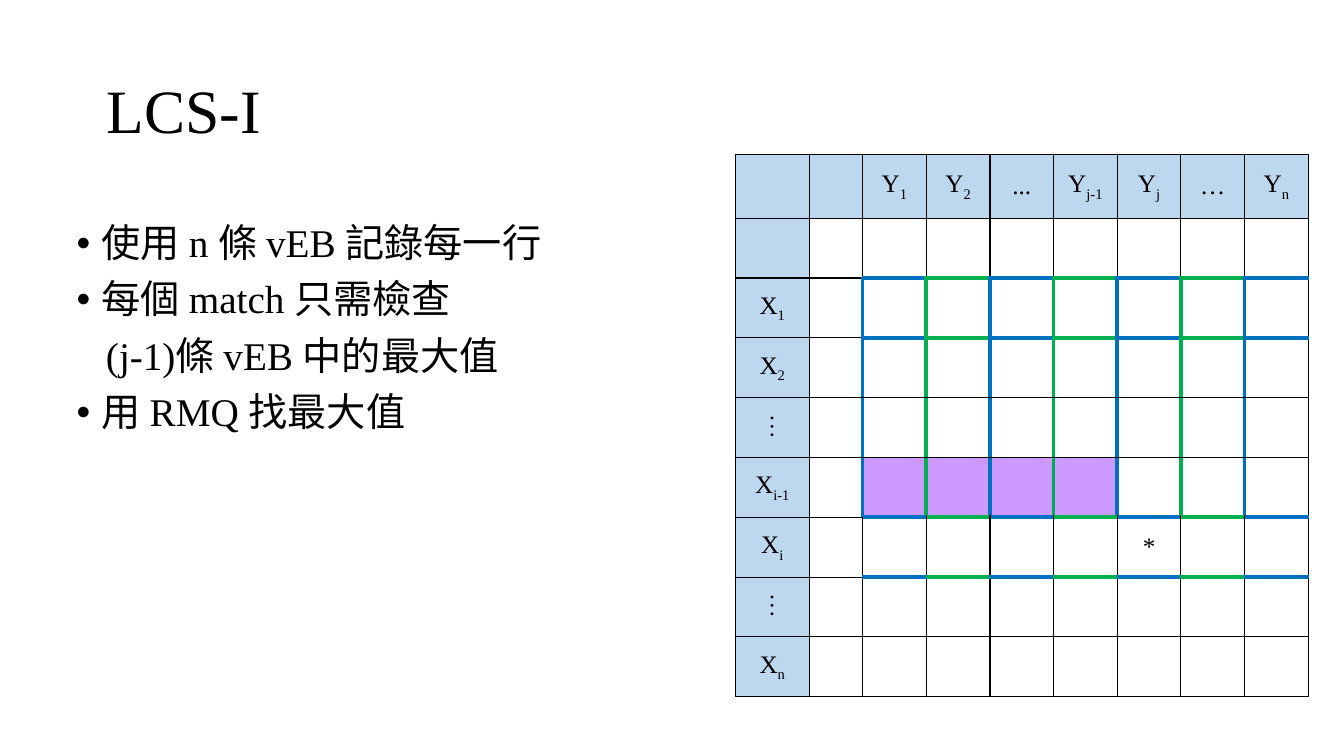
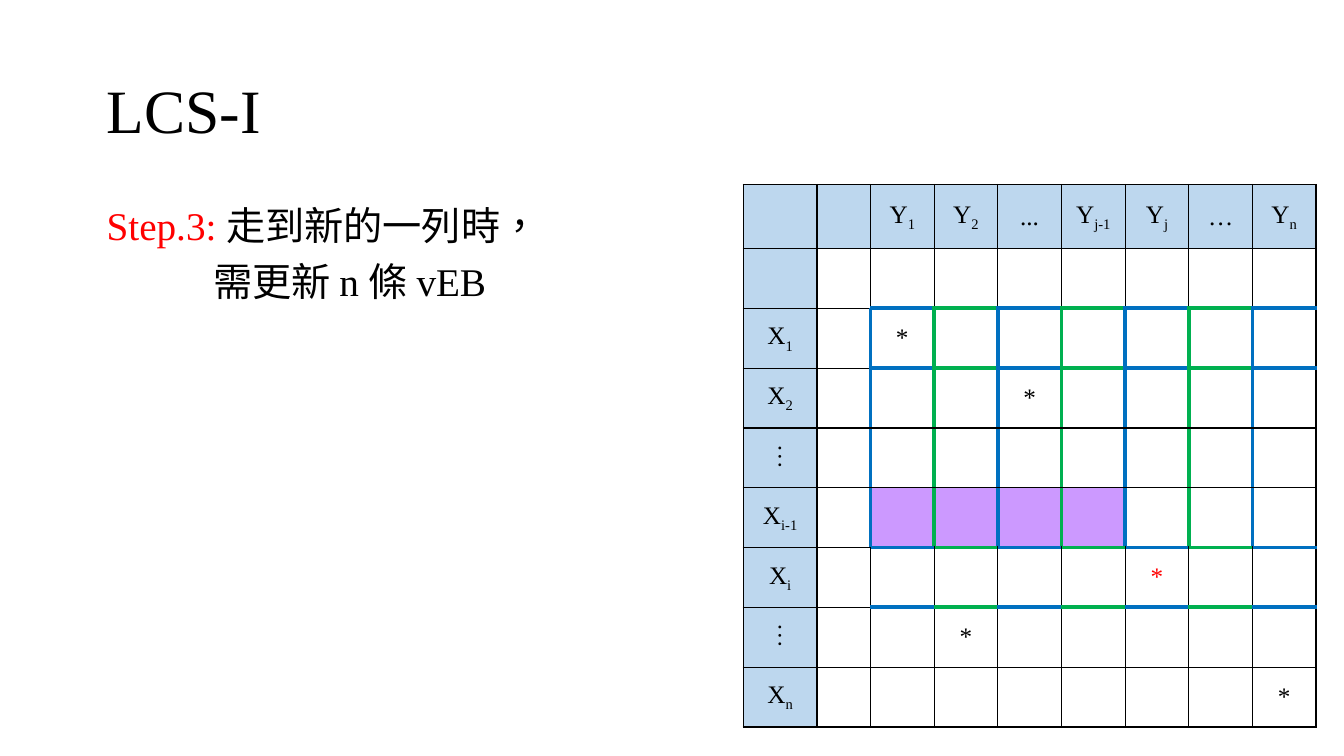
from lxml import etree
from pptx import Presentation
from pptx.dml.color import RGBColor
from pptx.enum.text import MSO_ANCHOR, MSO_AUTO_SIZE, PP_ALIGN
from pptx.oxml.ns import qn
from pptx.util import Pt

LEFT, CENTER = PP_ALIGN.LEFT, PP_ALIGN.CENTER
TOP, MIDDLE = MSO_ANCHOR.TOP, MSO_ANCHOR.MIDDLE
NO_FIT = MSO_AUTO_SIZE.NONE

FONT = "Times New Roman"
BLACK, WHITE, RED = "000000", "FFFFFF", "FF0000"
HEADER, PURPLE = "BDD7EE", "CC99FF"
BLUE, GREEN = "0070C0", "00B050"
TITLE_BOX = (69, 28.8, 828, 104.4)
BODY_SIZE = (828, 342.7)

COLUMN_HEADS = ["", "", "Y_1", "Y_2", "...", "Y_j-1", "Y_j", "…", "Y_n"]
ROW_HEADS = ["", "", "X_1", "X_2", "⋮", "X_i-1", "X_i", "⋮", "X_n"]
COLUMN_WIDTHS = [52.7, 38.2] + [45.47] * 7
ROW_HEIGHTS = [45.7] + [42.72] * 8
FIRST_Y = 2
TREE_ROWS = range(2, 6)
COLORED_EDGES = (2, 3, 6, 7)
QUERY_ROW, QUERY_COLUMNS = 5, range(2, 6)

SLIDES = [
    {
        "title": "LCS-I",
        "body_at": (47.5, 156.2),
        "lines": [
            {"runs": [("使用 n 條 vEB 記錄每一行", BLACK)], "indent": 18, "bullet": True},
            {"runs": [("每個 match 只需檢查", BLACK)], "indent": 18, "bullet": True},
            {"runs": [("(j-1)條 vEB 中的最大值", BLACK)], "indent": 21},
            {"runs": [("用 RMQ 找最大值", BLACK)], "indent": 18, "bullet": True},
        ],
        "table_at": (525.3, 110.2),
        "matches": {(6, 6): BLACK},
    },
    {
        "title": "LCS-I",
        "body_at": (69, 143.8),
        "lines": [
            {"runs": [("Step.3: ", RED), ("走到新的一列時，", BLACK)], "indent": 0},
            {"runs": [("需更新 n 條 vEB", BLACK)], "indent": 76},
        ],
        "table_at": (530.9, 131.8),
        "matches": {(2, 2): BLACK, (3, 4): BLACK, (6, 6): RED,
                    (7, 3): BLACK, (8, 8): BLACK},
    },
]


def rgb(color):
    return RGBColor.from_string(color)


def add_run(p, text, size, color, baseline=0):
    r = p.add_run()
    r.text = text
    r.font.name = FONT
    r.font.size = Pt(size)
    r.font.color.rgb = rgb(color)
    rPr = r._r.get_or_add_rPr()
    rPr.set("lang", "zh-TW")
    if baseline:
        rPr.set("baseline", str(baseline))


def place(sp, left, top, width, height):
    sp.left, sp.top, sp.width, sp.height = map(Pt, (left, top, width, height))


def add_title(s, text):
    sp = s.shapes.title
    place(sp, *TITLE_BOX)
    tf = sp.text_frame
    tf.auto_size = NO_FIT
    tf.vertical_anchor = MIDDLE
    p = tf.paragraphs[0]
    p.alignment = LEFT
    p.line_spacing = 0.9
    add_run(p, text, 44, BLACK)


def add_body(s, at, lines):
    sp = s.placeholders[1]
    place(sp, *at, *BODY_SIZE)
    tf = sp.text_frame
    tf.auto_size = NO_FIT
    tf.vertical_anchor = TOP
    for i, line in enumerate(lines):
        p = tf.paragraphs[0] if i == 0 else tf.add_paragraph()
        p.alignment = LEFT
        p.line_spacing = 0.9
        p.space_before = Pt(10 if i else 0)
        bullet = line.get("bullet", False)
        pPr = p._p.get_or_add_pPr()
        pPr.set("marL", str(Pt(line["indent"])))
        pPr.set("indent", str(Pt(-line["indent"] if bullet else 0)))
        if bullet:
            etree.SubElement(pPr, qn("a:buFont")).set("typeface", "Arial")
            etree.SubElement(pPr, qn("a:buChar")).set("char", "•")
        else:
            etree.SubElement(pPr, qn("a:buNone"))
        for text, color in line["runs"]:
            add_run(p, text, 28, color)


def tree_color(column):
    return GREEN if (column - FIRST_Y) % 2 else BLUE


def horizontal_edge(edge, column):
    colored = edge in COLORED_EDGES and column >= FIRST_Y
    return (tree_color(column), 3) if colored else (BLACK, 1)


def vertical_edge(row, edge):
    colored = row in TREE_ROWS and FIRST_Y <= edge < len(COLUMN_HEADS)
    return (tree_color(edge), 3) if colored else (BLACK, 1)


def set_borders(cell, row, column):
    edges = {
        "L": vertical_edge(row, column),
        "R": vertical_edge(row, column + 1),
        "T": horizontal_edge(row, column),
        "B": horizontal_edge(row + 1, column),
    }
    tcPr = cell._tc.get_or_add_tcPr()
    for side, (color, width) in edges.items():
        ln = etree.SubElement(tcPr, qn("a:ln" + side), w=str(Pt(width)))
        fill = etree.SubElement(ln, qn("a:solidFill"))
        etree.SubElement(fill, qn("a:srgbClr"), val=color)


def cell_fill(row, column):
    if row == 0 or column == 0:
        return HEADER
    if row == QUERY_ROW and column in QUERY_COLUMNS:
        return PURPLE
    return WHITE


def cell_text(row, column, matches):
    if row == 0:
        return COLUMN_HEADS[column], BLACK
    if column == 0:
        return ROW_HEADS[row], BLACK
    color = matches.get((row, column))
    return ("*", color) if color else ("", BLACK)


def add_grid(s, at, matches):
    size = (sum(COLUMN_WIDTHS), sum(ROW_HEIGHTS))
    frame = s.shapes.add_table(len(ROW_HEADS), len(COLUMN_HEADS),
                               *map(Pt, at + size))
    table = frame.table
    table.first_row = table.horz_banding = False
    for column, width in zip(table.columns, COLUMN_WIDTHS):
        column.width = Pt(width)
    for row, height in zip(table.rows, ROW_HEIGHTS):
        row.height = Pt(height)
    for i in range(len(ROW_HEADS)):
        for j in range(len(COLUMN_HEADS)):
            cell = table.cell(i, j)
            set_borders(cell, i, j)
            cell.fill.solid()
            cell.fill.fore_color.rgb = rgb(cell_fill(i, j))
            cell.vertical_anchor = MIDDLE
            text, color = cell_text(i, j, matches)
            if text:
                p = cell.text_frame.paragraphs[0]
                p.alignment = CENTER
                base, _, index = text.partition("_")
                add_run(p, base, 18, color)
                if index:
                    add_run(p, index, 18, color, -25000)


def main():
    prs = Presentation()
    prs.slide_width, prs.slide_height = Pt(960), Pt(540)
    for content in SLIDES:
        s = prs.slides.add_slide(prs.slide_layouts[1])
        add_title(s, content["title"])
        add_body(s, content["body_at"], content["lines"])
        add_grid(s, content["table_at"], content["matches"])
    prs.save("out.pptx")


if __name__ == "__main__":
    main()
